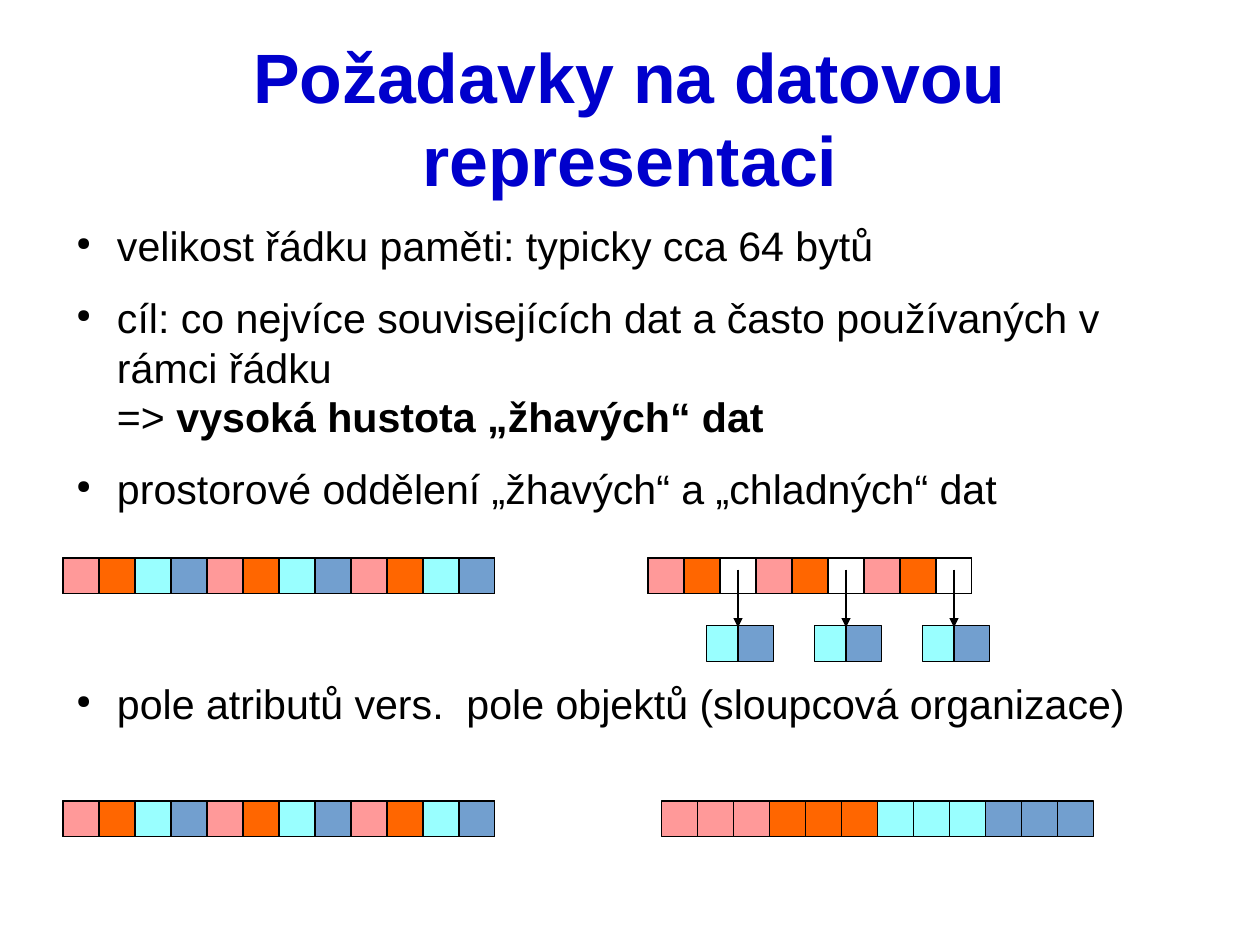
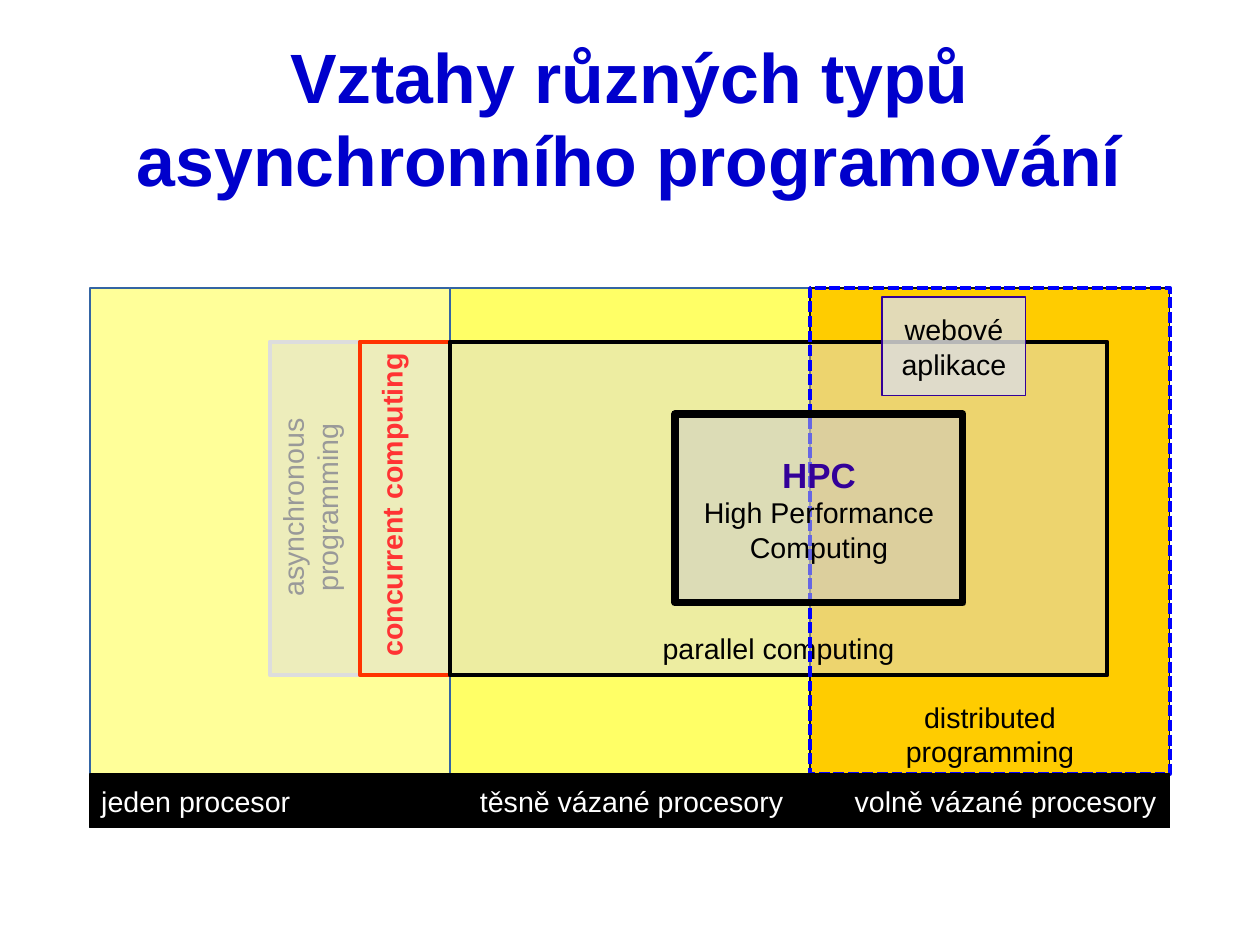
from lxml.etree import SubElement
from pptx import Presentation
from pptx.dml.color import RGBColor
from pptx.enum.dml import MSO_LINE as Dash
from pptx.enum.shapes import MSO_CONNECTOR as Connector, MSO_SHAPE as Preset
from pptx.enum.text import MSO_ANCHOR as Anchor, PP_ALIGN as Align
from pptx.oxml.ns import qn
from pptx.util import Cm, Pt

CELL = 0.8
COLUMNS, ROWS = 35, 26.25
MARGIN = 1.75
HOT, WARM, COOL, COLD = "FF9999", "FF6600", "99FFFF", "729FCF"
BLACK, WHITE = "000000", "FFFFFF"


def grid(*counts):
    return [Cm(count * CELL) for count in counts]


def rgb(code):
    return RGBColor.from_string(code)


def add_xml(parent, tag, **attributes):
    return SubElement(parent, qn(tag), attributes)


class Deck:
    font = "Arial"
    title_color = "0000CC"
    title_size, body_size, label_size = 44, 25.9, 18
    body_gap = 14.2

    def __init__(self):
        self.file = Presentation()
        self.file.slide_width, self.file.slide_height = grid(COLUMNS, ROWS)

    def start(self, title):
        blank = self.file.slide_layouts[6]
        self.shapes = self.file.slides.add_slide(blank).shapes
        heading = self.text_box(MARGIN, 0.6, COLUMNS - 2 * MARGIN, 5.3)
        heading.vertical_anchor = Anchor.MIDDLE
        heading.text = title
        self.style(heading.paragraphs[0], self.title_size, self.title_color, True)

    def text_box(self, left, top, width, height):
        frame = self.shapes.add_textbox(*grid(left, top, width, height)).text_frame
        frame.word_wrap = True
        frame.margin_left = frame.margin_right = 0
        frame.margin_top = frame.margin_bottom = 0
        return frame

    def style(self, paragraph, size, color=BLACK, bold=False, align=Align.CENTER):
        paragraph.alignment = align
        for run in paragraph.runs:
            run.font.name, run.font.size = self.font, Pt(size)
            run.font.bold, run.font.color.rgb = bold, rgb(color)

    def bullets(self, top, height, items):
        frame = self.text_box(MARGIN, top, COLUMNS - 2 * MARGIN, height)
        for index, (text, stress, gap) in enumerate(items):
            item = frame.paragraphs[0] if index == 0 else frame.add_paragraph()
            item.text = text
            if stress:
                item.add_run().text = stress
            self.style(item, self.body_size, align=Align.LEFT)
            if stress:
                item.runs[-1].font.bold = True
            item.space_before = Pt(gap)
            properties = item._p.get_or_add_pPr()
            properties.set("marL", str(Cm(1.2)))
            properties.set("indent", str(-Cm(0.9)))
            add_xml(add_xml(properties, "a:buClr"), "a:srgbClr", val=BLACK)
            add_xml(properties, "a:buSzPct", val="45000")
            add_xml(properties, "a:buChar", char="●")

    def box(self, left, top, width, height, fill=None, line=BLACK, weight=0, opacity=100):
        box = self.shapes.add_shape(Preset.RECTANGLE, *grid(left, top, width, height))
        box.shadow.inherit = False
        if fill:
            box.fill.solid()
            box.fill.fore_color.rgb = rgb(fill)
            if opacity < 100:
                tint = box._element.spPr.find(qn("a:solidFill"))[0]
                add_xml(tint, "a:alpha", val=str(opacity * 1000))
        else:
            box.fill.background()
        box.line.color.rgb = rgb(line)
        box.line.width = Pt(weight)
        return box

    def label(self, box, text, bottom=None, color=BLACK, bold=False):
        frame = box.text_frame
        frame.word_wrap = True
        frame.vertical_anchor = Anchor.MIDDLE
        if bottom is not None:
            frame.vertical_anchor = Anchor.BOTTOM
            frame.margin_bottom = grid(bottom)[0]
        frame.text = text
        for paragraph in frame.paragraphs:
            self.style(paragraph, self.label_size, color, bold)
        return frame.paragraphs

    def upright(self, center, middle, length, depth, text, color, bold=False):
        place = grid(center - length / 2, middle - depth / 2, length, depth)
        box = self.shapes.add_textbox(*place)
        box.rotation = 270
        self.label(box, text, color=color, bold=bold)

    def columns(self, paragraph, stops):
        paragraph.alignment = Align.LEFT
        tabs = add_xml(paragraph._p.get_or_add_pPr(), "a:tabLst")
        for stop in grid(*stops):
            add_xml(tabs, "a:tab", pos=str(stop), algn="l")

    def cells(self, left, top, fills):
        for index, fill in enumerate(fills):
            self.box(left + index, top, 1, 1, fill)

    def records(self, left, top, fills, count=3):
        size = len(fills)
        for start in range(count):
            self.cells(left + start * size, top, fills)
            self.box(left + start * size, top, size, 1)

    def arrow(self, column, start, end):
        arrow = self.shapes.add_connector(
            Connector.STRAIGHT, *grid(column, start, column, end))
        arrow.line.color.rgb = rgb(BLACK)
        arrow.line.width = Pt(0.85)
        add_xml(arrow.line._get_or_add_ln(), "a:tailEnd", type="triangle")
        add_xml(arrow._element.spPr, "a:effectLst")


def data_layout(deck):
    deck.start("Požadavky na datovou representaci")
    gap = deck.body_gap
    deck.bullets(6.13, 15.2, [
        ("velikost řádku paměti: typicky cca 64 bytů", None, gap),
        ("cíl: co nejvíce souvisejících dat a často používaných v rámci řádku\v=> ",
         "vysoká hustota „žhavých“ dat", gap),
        ("prostorové oddělení „žhavých“ a „chladných“ dat", None, gap),
        ("pole atributů vers.  pole objektů (sloupcová organizace)", None, gap + 90.4),
    ])
    attributes = [HOT, WARM, COOL, COLD]
    split_row, cold_row, array_row = 15.5, 17.38, 22.25
    for row in (split_row, array_row):
        deck.records(MARGIN, row, attributes)

    split_left = 18
    deck.records(split_left, split_row, [HOT, WARM, WHITE])
    for index in range(3):
        pointer = split_left + 3 * index + 2.5
        deck.box(pointer - 0.87, cold_row, 1, 1, COOL)
        deck.box(pointer, cold_row, 1, 1, COLD)
        deck.arrow(pointer, split_row + 0.32, cold_row + 0.05)

    deck.cells(18.38, array_row, [fill for fill in attributes for _ in range(3)])


def programming_types(deck):
    deck.start("Vztahy různých typů asynchronního programování")
    left, top, width, height, bar = 2.5, 8, 10, 15, 1.5
    single, tight, loose = [left + width * index for index in range(3)]
    deck.box(single, top, width, height, "FFFF99", "3465A4")
    deck.box(tight, top, width, height, "FFFF66", "3465A4")
    distributed = deck.box(loose, top, width, height, "FFCC00", "111111")
    deck.label(distributed, "distributed\nprogramming", bottom=1.65)

    right, nest_top, nest_height = 30.75, 9.5, 9.25
    for start, fill, line in ((7.5, "DDDDDD", "DDDDDD"),
                              (10, None, "FF3300"),
                              (tight, None, BLACK)):
        nest = deck.box(start, nest_top, right - start, nest_height, fill, line, 3, 50)
    deck.label(nest, "parallel computing", bottom=0.26)

    border = deck.box(loose, top, width, height - bar, line="0000FF", weight=2.3)
    border.line.dash_style = Dash.SQUARE_DOT

    hpc = deck.box(18.75, 11.5, 8, 5.25, "CCCCCC", weight=4.5, opacity=50)
    acronym = deck.label(hpc, "HPC\nHigh Performance\nComputing")[0]
    deck.style(acronym, 22, "330099", True)

    deck.upright(10.87, 14.03, 10, 1.2, "concurrent computing", "FF3333", True)
    deck.upright(8.6, 14.1, 11, 2.25, "asynchronous\nprogramming", "999999")

    web = deck.box(24.5, 8.25, 4, 2.75, "DDDDDD", "330099", opacity=83)
    deck.label(web, "webové\naplikace")

    scale = deck.box(left, top + height - bar, 3 * width, bar, BLACK)
    coupling = deck.label(
        scale, "jeden procesor\ttěsně vázané procesory\tvolně vázané procesory",
        color=WHITE)[0]
    deck.columns(coupling, (10.52, 20.93))


def main():
    deck = Deck()
    data_layout(deck)
    programming_types(deck)
    deck.file.save("out.pptx")


if __name__ == "__main__":
    main()
